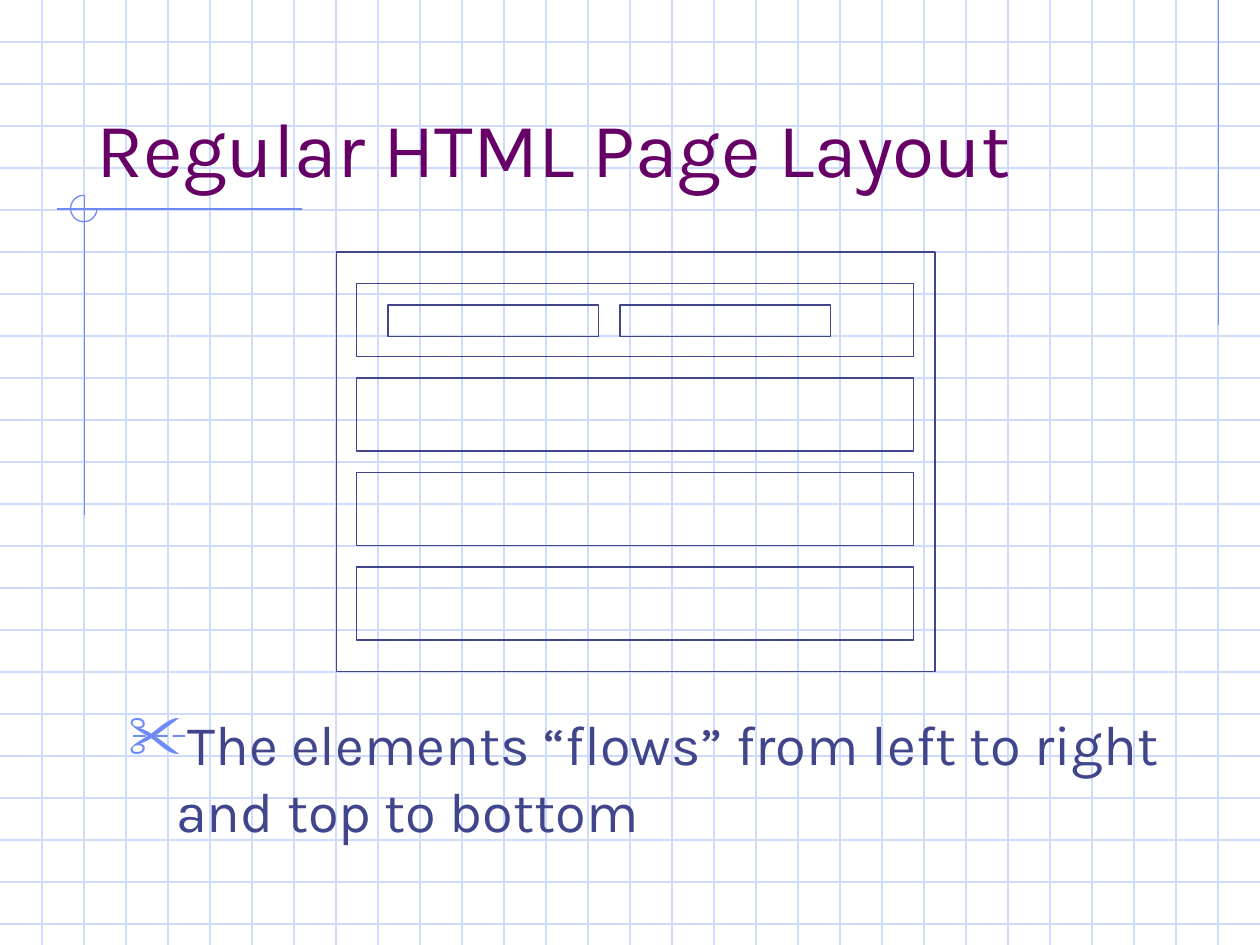
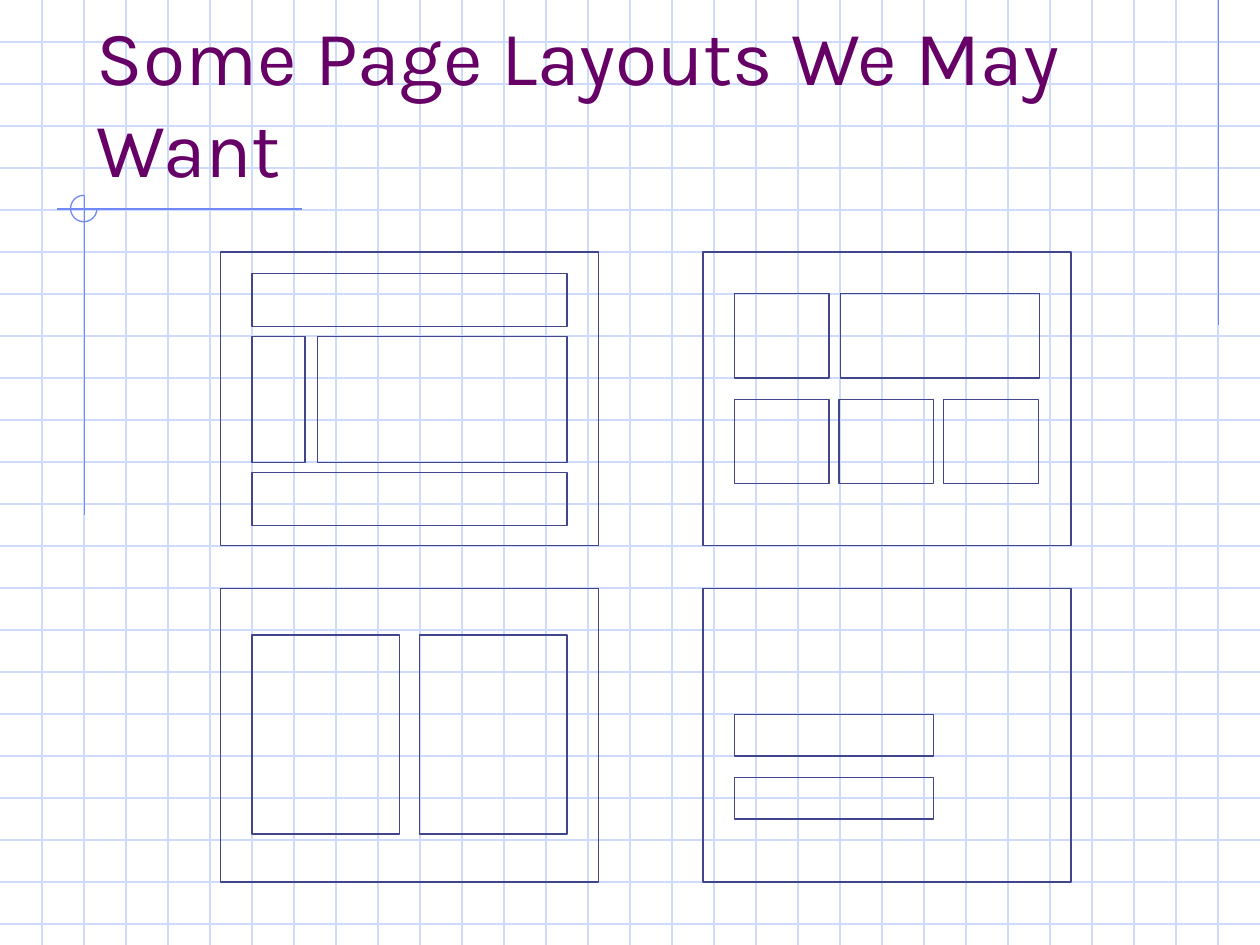
from dataclasses import dataclass

import lxml.etree
import pptx
import pptx.dml.color
import pptx.enum.shapes
import pptx.enum.text
import pptx.oxml
import pptx.oxml.ns
import pptx.slide
import pptx.util

Inches = pptx.util.Inches
Pt = pptx.util.Pt
RGBColor = pptx.dml.color.RGBColor
MSO_SHAPE = pptx.enum.shapes.MSO_SHAPE
MSO_ANCHOR = pptx.enum.text.MSO_ANCHOR
qn = pptx.oxml.ns.qn

GRID_BLUE = RGBColor(0xCF, 0xDB, 0xFD)
ACCENT_BLUE = RGBColor(0x6F, 0x89, 0xF7)
INK_BLUE = RGBColor(0x40, 0x45, 0x8C)
TITLE_PURPLE = RGBColor(0x66, 0x00, 0x66)
FONT = "Karla"
LINE_WIDTH = Pt(0.75)
SLIDE_WIDTH, SLIDE_HEIGHT = 10, 7.5
GRID_PER_INCH = 3


@dataclass(frozen=True)
class Box:
    left: float
    top: float
    width: float
    height: float

    def lengths(self) -> tuple:
        return tuple(Inches(v) for v in (self.left, self.top, self.width, self.height))


@dataclass(frozen=True)
class Rule:
    x1: float
    y1: float
    x2: float
    y2: float
    color: RGBColor


@dataclass(frozen=True)
class TextStyle:
    size: float
    color: RGBColor
    anchor: MSO_ANCHOR


TITLE_BOX = Box(0.67, 0.33, 8.5, 1.25)
TITLE_STYLE = TextStyle(44, TITLE_PURPLE, MSO_ANCHOR.BOTTOM)
BODY_STYLE = TextStyle(32, INK_BLUE, MSO_ANCHOR.TOP)
CORNER_CIRCLE = Box(0.56, 1.55, 0.21, 0.21)
ACCENT_RULES = [
    Rule(9.67, 0, 9.67, 2.58, ACCENT_BLUE),
    Rule(2.4, 1.66, 0.45, 1.66, ACCENT_BLUE),
    Rule(0.67, 1.55, 0.67, 4.09, ACCENT_BLUE),
]


def tile(first: Box, columns: int, rows: int, gap_x: float = 0, gap_y: float = 0) -> list[Box]:
    return [
        Box(
            first.left + column * (first.width + gap_x),
            first.top + row * (first.height + gap_y),
            first.width,
            first.height,
        )
        for row in range(rows)
        for column in range(columns)
    ]


def graph_paper() -> list[Rule]:
    across = [
        Rule(0, n / GRID_PER_INCH, SLIDE_WIDTH, n / GRID_PER_INCH, GRID_BLUE)
        for n in range(1, int(SLIDE_HEIGHT * GRID_PER_INCH) + 1)
    ]
    down = [
        Rule(n / GRID_PER_INCH, 0, n / GRID_PER_INCH, SLIDE_HEIGHT, GRID_BLUE)
        for n in range(1, SLIDE_WIDTH * GRID_PER_INCH)
    ]
    return across + down


def draw_rule(shapes, rule: Rule) -> None:
    line = shapes.add_connector(
        pptx.enum.shapes.MSO_CONNECTOR.STRAIGHT,
        Inches(rule.x1), Inches(rule.y1), Inches(rule.x2), Inches(rule.y2),
    )
    line.line.color.rgb = rule.color
    line.line.width = LINE_WIDTH
    lxml.etree.SubElement(line._element.spPr, qn("a:effectLst"))


def draw_outline(shapes, kind: MSO_SHAPE, box: Box, color: RGBColor):
    outline = shapes.add_shape(kind, *box.lengths())
    outline.shadow.inherit = False
    outline.fill.background()
    outline.line.color.rgb = color
    outline.line.width = LINE_WIDTH
    return outline


def draw_text(slide: pptx.slide.Slide, box: Box, words: str, style: TextStyle):
    frame = slide.shapes.add_textbox(*box.lengths()).text_frame
    frame.word_wrap = True
    frame.vertical_anchor = style.anchor
    paragraph = frame.paragraphs[0]
    run = paragraph.add_run()
    run.text = words
    run.font.name = FONT
    run.font.size = Pt(style.size)
    run.font.color.rgb = style.color
    return paragraph


def add_scissors_bullet(paragraph) -> None:
    paragraph.space_before = Pt(8)
    properties = paragraph._p.get_or_add_pPr()
    properties.set("marL", str(Inches(0.38)))
    properties.set("indent", str(Inches(-0.38)))
    color = lxml.etree.SubElement(properties, qn("a:buClr"))
    lxml.etree.SubElement(color, qn("a:srgbClr"), val=str(ACCENT_BLUE))
    lxml.etree.SubElement(properties, qn("a:buSzPct"), val="110000")
    lxml.etree.SubElement(properties, qn("a:buChar"), char="✂")


def add_layout_slide(deck, title: str, blocks: list[Box]) -> pptx.slide.Slide:
    slide = deck.slides.add_slide(deck.slide_layouts[6])
    backdrop = slide.shapes.add_group_shape().shapes
    for rule in graph_paper() + ACCENT_RULES:
        draw_rule(backdrop, rule)
    corner = draw_outline(backdrop, MSO_SHAPE.ARC, CORNER_CIRCLE, ACCENT_BLUE)
    corner.adjustments[0] = 0
    corner.adjustments[1] = 162
    draw_text(slide, TITLE_BOX, title, TITLE_STYLE)
    for block in blocks:
        draw_outline(slide.shapes, MSO_SHAPE.RECTANGLE, block, INK_BLUE)
    return slide


def main() -> None:
    deck = pptx.Presentation()
    deck.slide_width = Inches(SLIDE_WIDTH)
    deck.slide_height = Inches(SLIDE_HEIGHT)

    page = Box(2.67, 2, 4.75, 3.33)
    inline_elements = tile(Box(3.08, 2.42, 1.67, 0.25), 2, 1, gap_x=0.17)
    block_elements = tile(Box(2.83, 2.25, 4.42, 0.58), 1, 4, gap_y=0.17)
    flow = add_layout_slide(
        deck, "Regular HTML Page Layout", [page, *inline_elements, *block_elements]
    )
    flow_note = draw_text(
        flow,
        Box(0.92, 5.58, 8.5, 1.25),
        "The elements “flows” from left to right and top to bottom",
        BODY_STYLE,
    )
    add_scissors_bullet(flow_note)

    left_pages = tile(Box(1.75, 2, 3, 2.33), 1, 2, gap_y=0.34)
    right_pages = tile(Box(5.58, 2, 2.92, 2.33), 1, 2, gap_y=0.34)
    header_and_footer = tile(Box(2, 2.17, 2.5, 0.42), 1, 2, gap_y=1.16)
    sidebar = Box(2, 2.67, 0.42, 1)
    main_content = Box(2.52, 2.67, 1.98, 1)
    feature = Box(6.67, 2.33, 1.58, 0.67)
    thumbnail = Box(5.83, 2.33, 0.75, 0.67)
    gallery = tile(Box(5.83, 3.17, 0.75, 0.67), 3, 1, gap_x=0.08)
    equal_columns = tile(Box(2, 5.04, 1.17, 1.58), 2, 1, gap_x=0.16)
    offset_bars = tile(Box(5.83, 5.67, 1.58, 0.33), 1, 2, gap_y=0.17)
    add_layout_slide(
        deck,
        "Some Page Layouts We May Want",
        [
            *left_pages, *right_pages,
            *header_and_footer, sidebar, main_content,
            thumbnail, feature, *gallery,
            *equal_columns, *offset_bars,
        ],
    )

    deck.save("out.pptx")


if __name__ == "__main__":
    main()
